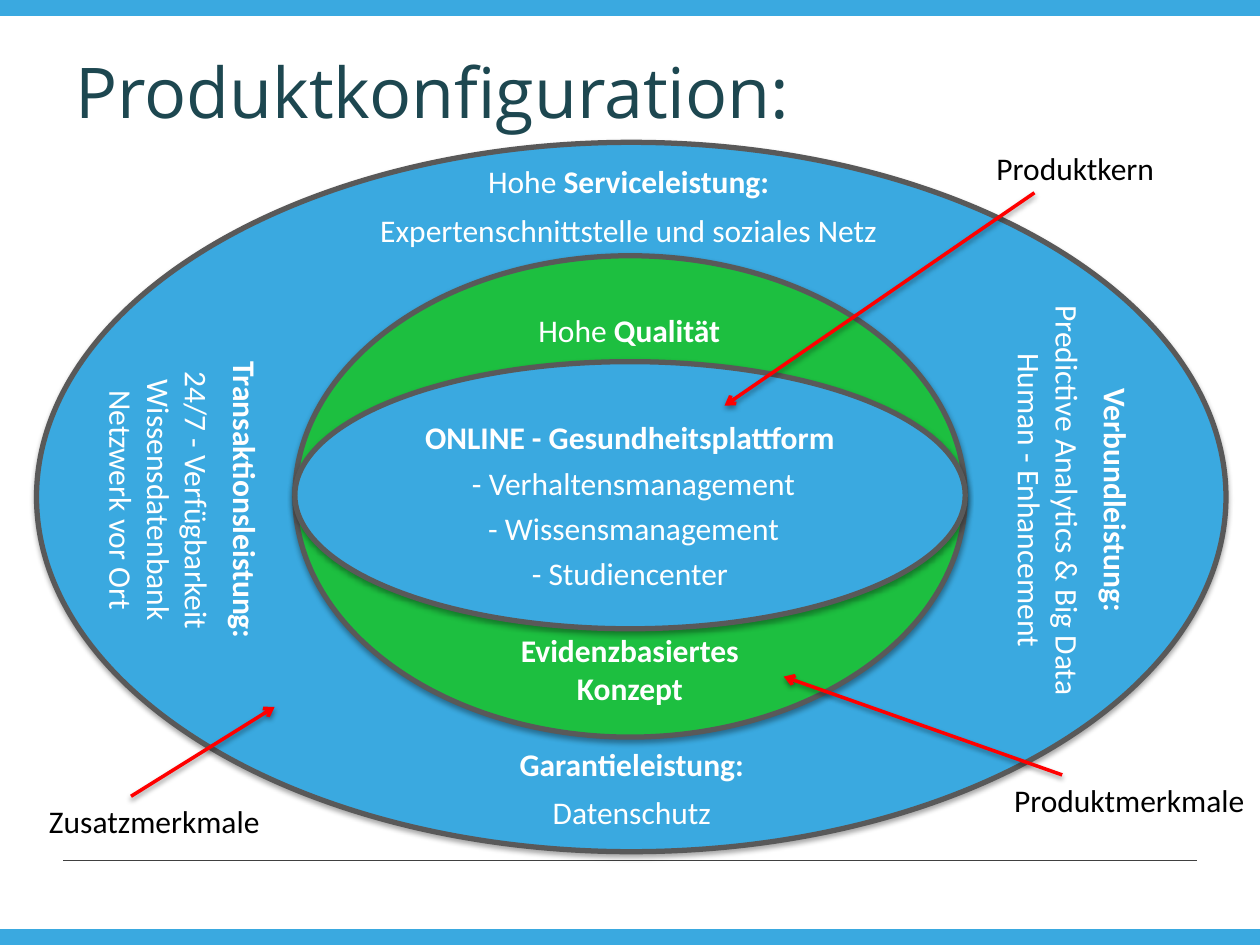
from lxml import etree
from pptx import Presentation
from pptx.dml.color import RGBColor
from pptx.enum.shapes import MSO_CONNECTOR, MSO_SHAPE
from pptx.enum.text import MSO_ANCHOR, PP_ALIGN
from pptx.oxml.ns import qn
from pptx.util import Inches, Pt

COLORS = {"blue": "3AA9E0", "green": "1DBF40", "outline": "595959", "rule": "404040",
          "title": "1D4750", "red": "FF0000", "black": "000000", "white": "FFFFFF"}
RGB = {name: RGBColor.from_string(value) for name, value in COLORS.items()}


def set_shadow(s, alpha=0, blur=0, distance=0):
    """Give the shape a downward shadow, or none when alpha is 0."""
    spPr = s._element.spPr
    effects = etree.SubElement(spPr, qn("a:effectLst"))
    if alpha:
        shadow = etree.SubElement(effects, qn("a:outerShdw"), blurRad=str(Pt(blur)),
                                  dist=str(Pt(distance)), dir="5400000", rotWithShape="0")
        color = etree.SubElement(shadow, qn("a:srgbClr"), val=COLORS["black"])
        etree.SubElement(color, qn("a:alpha"), val=str(alpha * 1000))


def write(tf, lines, color="white", size=18, font="Calibri", **paragraph_format):
    """Write paragraphs, each a list of (text, bold) runs."""
    for i, runs in enumerate(lines):
        p = tf.paragraphs[0] if i == 0 else tf.add_paragraph()
        for name, value in paragraph_format.items():
            setattr(p, name, value)
        for text, bold in runs:
            r = p.add_run()
            r.text = text
            r.font.color.rgb = RGB[color]
            for name, value in {"size": Pt(size), "name": font, "bold": bold}.items():
                setattr(r.font, name, value)


prs = Presentation()
prs.slide_width, prs.slide_height = Inches(10), Inches(7.5)
slide = prs.slides.add_slide(prs.slide_layouts[6])
shapes = slide.shapes

# Frame of the page
for top in (0, 7.38):
    s = shapes.add_shape(MSO_SHAPE.RECTANGLE, 0, Inches(top), Inches(10), Inches(0.12))
    s.fill.solid()
    s.fill.fore_color.rgb = s.line.color.rgb = RGB["blue"]
    s.line.width = Pt(0.75)
    s.shadow.inherit = False
s = shapes.add_connector(MSO_CONNECTOR.STRAIGHT, Inches(0.5), Inches(6.83),
                         Inches(9.5), Inches(6.83))
s.line.color.rgb = RGB["rule"]
s.line.width = Pt(0.25)
set_shadow(s)

tf = shapes.add_textbox(Inches(0.5), Inches(0.3), Inches(9), Inches(0.83)).text_frame
tf.word_wrap = True
tf.vertical_anchor = MSO_ANCHOR.MIDDLE
write(tf, [[("Produktkonfiguration:", False)]], "title", 40, "Open Sans")

# Nested product layers, from the outside in
layers = [(0.29, 1.13, 9.44, 5.63, "blue"),
          (2.34, 2.03, 5.32, 3.82, "green"),
          (2.34, 2.87, 5.32, 2.12, "blue")]
for left, top, width, height, fill in layers:
    s = shapes.add_shape(MSO_SHAPE.OVAL, Inches(left), Inches(top),
                         Inches(width), Inches(height))
    s.fill.solid()
    s.fill.fore_color.rgb = RGB[fill]
    s.line.color.rgb = RGB["outline"]
    s.line.width = Pt(3)
    set_shadow(s, 35, 3.1, 1.8)

core = s.text_frame
core.word_wrap = True
core.vertical_anchor = MSO_ANCHOR.MIDDLE
core.margin_top = Inches(0.15)
write(core, [[("ONLINE - Gesundheitsplattform", True)],
             [(" - Verhaltensmanagement", False)],
             [(" - Wissensmanagement", False)],
             [("- Studiencenter", False)]],
      alignment=PP_ALIGN.CENTER, line_spacing=1.2)

# Arrows from the labels to the layers
for x1, y1, x2, y2 in [(8.21, 1.53, 5.75, 3.22),
                       (8.43, 6.15, 6.22, 5.37),
                       (1.04, 6.32, 2.18, 5.61)]:
    s = shapes.add_connector(MSO_CONNECTOR.STRAIGHT, Inches(x1), Inches(y1),
                             Inches(x2), Inches(y2))
    s.line.color.rgb = RGB["red"]
    s.line.width = Pt(2)
    etree.SubElement(s._element.spPr.find(qn("a:ln")), qn("a:tailEnd"), type="arrow")
    set_shadow(s, 38, 3.1, 1.6)

for left, top, width, label in [(7.81, 1.13, 1.48, "Produktkern"),
                                (7.95, 6.15, 2.05, "Produktmerkmale"),
                                (0.29, 6.32, 1.89, "Zusatzmerkmale")]:
    tf = shapes.add_textbox(Inches(left), Inches(top), Inches(width), Inches(0.4)).text_frame
    tf.word_wrap = False
    write(tf, [[(label, False)]], "black")

# Texts on the layers: left, top, width, height, rotation, space after heading, lines
layer_texts = [
    (4.16, 2.42, 1.67, 0.4, 0, 0, [[("Hohe", False), (" Qualität", True)]]),
    (4, 4.96, 2, 0.7, 0, 0, [[("Evidenzbasiertes", True)], [("Konzept", True)]]),
    (6.69, 3.27, 3.34, 1.4, 90, 6, [[("Verbundleistung:", True)],
                                    [("Predictive Analytics & Big Data", False)],
                                    [("Human - Enhancement", False)]]),
    (2.89, 1.24, 4.2, 0.79, 0, 6, [[("Hohe", False), (" Serviceleistung:", True)],
                                   [("Expertenschnittstelle und soziales Netz", False)]]),
    (4.01, 5.86, 2.01, 0.79, 0, 6, [[("Garantieleistung:", True)],
                                    [("Datenschutz", False)]]),
    (0.23, 3.27, 2.44, 1.4, 90, 6, [[("Transaktionsleistung:", True)],
                                    [("24/7 - Verfügbarkeit", False)],
                                    [("Wissensdatenbank", False)],
                                    [("Netzwerk vor Ort", False)]]),
]
for left, top, width, height, rotation, gap, lines in layer_texts:
    s = shapes.add_textbox(Inches(left), Inches(top), Inches(width), Inches(height))
    s.rotation = rotation
    tf = s.text_frame
    tf.word_wrap = False
    write(tf, lines, alignment=PP_ALIGN.CENTER)
    tf.paragraphs[0].space_after = Pt(gap)

prs.save("out.pptx")
